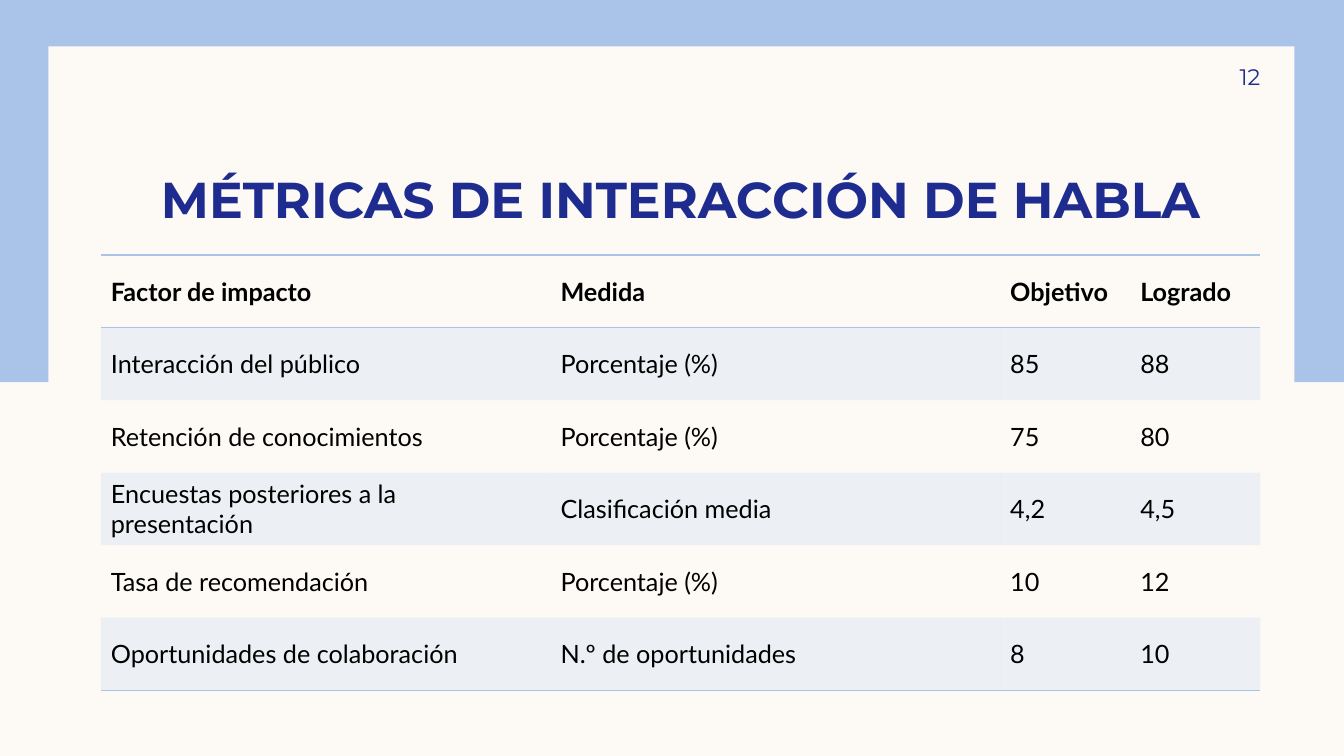
from lxml import etree
from pptx import Presentation
from pptx import util as u
from pptx.dml.color import RGBColor
from pptx.enum import shapes, text
from pptx.oxml.ns import qn

# Content
TITLE = "MÉTRICAS DE INTERACCIÓN DE HABLA"
PAGE = "12"
ROWS = [
    ("Factor de impacto", "Medida", "Objetivo", "Logrado"),
    ("Interacción del público", "Porcentaje (%)", "85", "88"),
    ("Retención de conocimientos", "Porcentaje (%)", "75", "80"),
    ("Encuestas posteriores a la presentación", "Clasificación media", "4,2", "4,5"),
    ("Tasa de recomendación", "Porcentaje (%)", "10", "12"),
    ("Oportunidades de colaboración", "N.º de oportunidades", "8", "10"),
]
COL_WIDTHS = (4.46, 4.46, 1.29, 1.29)
ROW_HEIGHT = 0.72
NO_STYLE = "{2D5ABB26-0587-4C30-8999-92F81FD0307C}"
THEME = dict(cream="FDFAF6", blue="AAC3E8", navy="1F2C8F", black="000000",
             head_font="Montserrat", body_font="Lato",
             title=36, body=18, page=16, band_alpha=20, rule=1)


def rgb(name):
    return RGBColor.from_string(THEME[name])


def box(left, top, width, height):
    return [u.Inches(v) for v in (left, top, width, height)]


def write(tf, words, size, font, color, bold=False, align=text.PP_ALIGN.LEFT):
    p = tf.paragraphs[0]
    p.alignment = align
    r = p.add_run()
    r.text = words
    r.font.size = u.Pt(THEME[size])
    r.font.name = THEME[font]
    r.font.bold = bold
    r.font.color.rgb = rgb(color)


def set_frame(tf, anchor, *insets):
    tf.word_wrap = True
    tf.auto_size = text.MSO_AUTO_SIZE.NONE
    tf.vertical_anchor = anchor
    tf.margin_left, tf.margin_top, tf.margin_right, tf.margin_bottom = box(*insets)


def add_panel(s, color, *place):
    sp = s.shapes.add_shape(shapes.MSO_SHAPE.RECTANGLE, *box(*place))
    sp.shadow.inherit = False
    sp.fill.solid()
    sp.fill.fore_color.rgb = rgb(color)
    sp.line.fill.background()


def add_rule(cell, side):
    # Borders come before the fill in the cell properties
    tc_pr = cell._tc.get_or_add_tcPr()
    ln = etree.Element(qn("a:" + side), w=str(u.Pt(THEME["rule"])))
    fill = etree.SubElement(ln, qn("a:solidFill"))
    etree.SubElement(fill, qn("a:srgbClr"), val=THEME["blue"])
    tc_pr.insert(len(tc_pr.findall(qn("a:lnT"))), ln)


def fill_band(cell):
    cell.fill.solid()
    cell.fill.fore_color.rgb = rgb("blue")
    color = cell._tc.tcPr.find(".//" + qn("a:srgbClr"))
    etree.SubElement(color, qn("a:alpha"), val=str(THEME["band_alpha"] * 1000))


def add_metrics(s):
    frame = s.shapes.add_table(len(ROWS), len(COL_WIDTHS),
                               *box(1, 2.53, sum(COL_WIDTHS), ROW_HEIGHT * len(ROWS)))
    table = frame.table
    table._tbl.tblPr.find(qn("a:tableStyleId")).text = NO_STYLE
    for col, width in zip(table.columns, COL_WIDTHS):
        col.width = u.Inches(width)
    for i, values in enumerate(ROWS):
        table.rows[i].height = u.Inches(ROW_HEIGHT)
        for j, value in enumerate(values):
            cell = table.cell(i, j)
            cell.vertical_anchor = text.MSO_ANCHOR.MIDDLE
            write(cell.text_frame, value, "body", "body_font", "black", bold=i == 0)
            if i % 2:
                fill_band(cell)
            else:
                cell.fill.background()
            if i == 0:
                add_rule(cell, "lnT")
            if i in (0, len(ROWS) - 1):
                add_rule(cell, "lnB")


def main():
    prs = Presentation()
    prs.slide_width, prs.slide_height = u.Inches(13.33), u.Inches(7.5)
    s = prs.slides.add_slide(prs.slide_layouts[5])
    s.background.fill.solid()
    s.background.fill.fore_color.rgb = rgb("cream")

    # Blue frame around a cream panel
    add_panel(s, "blue", -0.03, 0, 13.36, 3.79)
    add_panel(s, "cream", 0.48, 0.46, 12.36, 6.59)

    # Title, raised above the panels
    title = s.shapes.title
    s.shapes._spTree.append(title._element)
    title.left, title.top, title.width, title.height = box(1, 1.16, 11.5, 1.11)
    set_frame(title.text_frame, text.MSO_ANCHOR.BOTTOM, 0.1, 0, 0.1, 0)
    write(title.text_frame, TITLE, "title", "head_font", "navy", True,
          text.PP_ALIGN.CENTER)

    # Table of metrics
    add_metrics(s)

    # Page number
    tf = s.shapes.add_textbox(*box(11.33, 0.5, 1.17, 0.52)).text_frame
    set_frame(tf, text.MSO_ANCHOR.MIDDLE, 0.1, 0.05, 0, 0.05)
    write(tf, PAGE, "page", "head_font", "navy", align=text.PP_ALIGN.RIGHT)

    prs.save("out.pptx")


if __name__ == "__main__":
    main()
